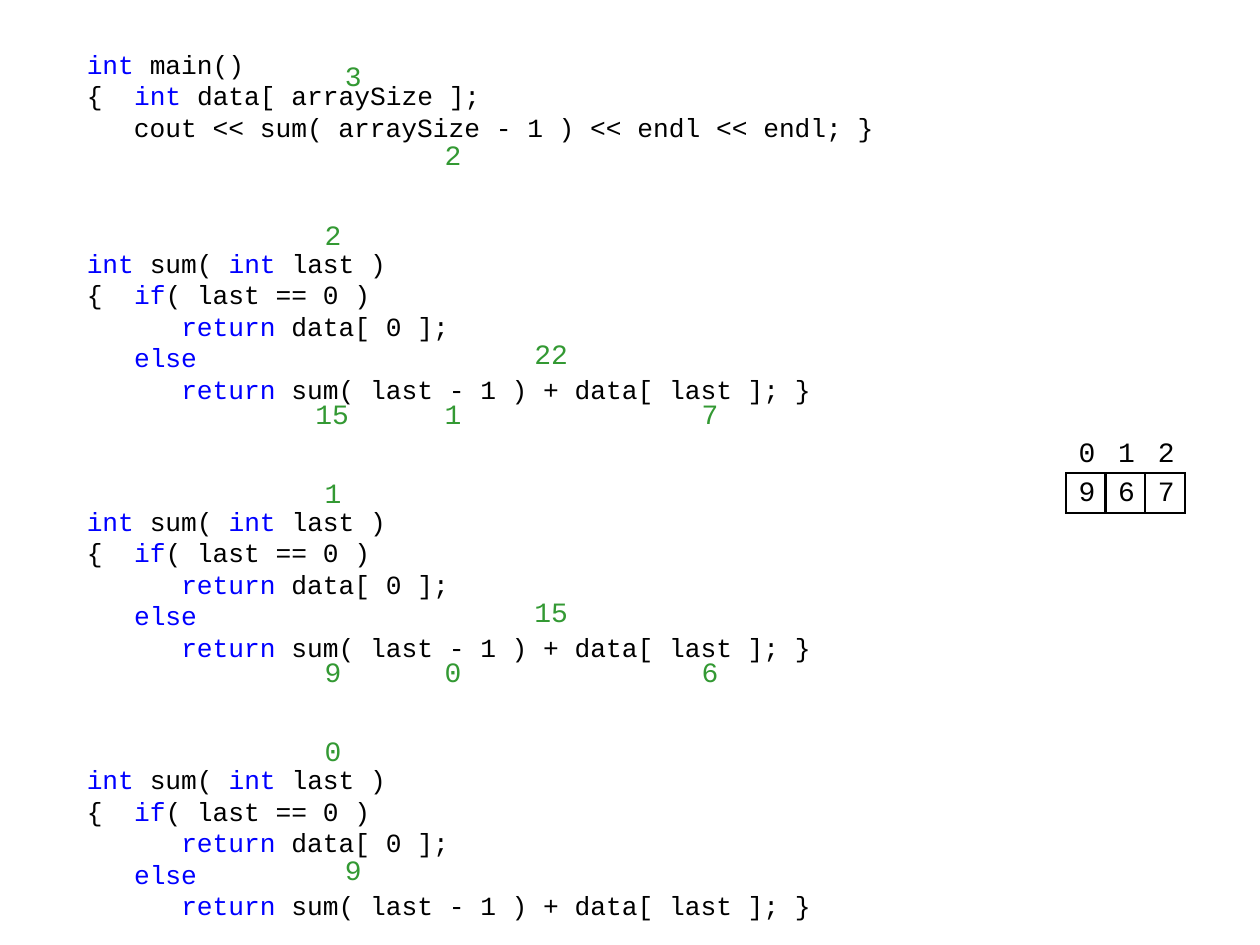
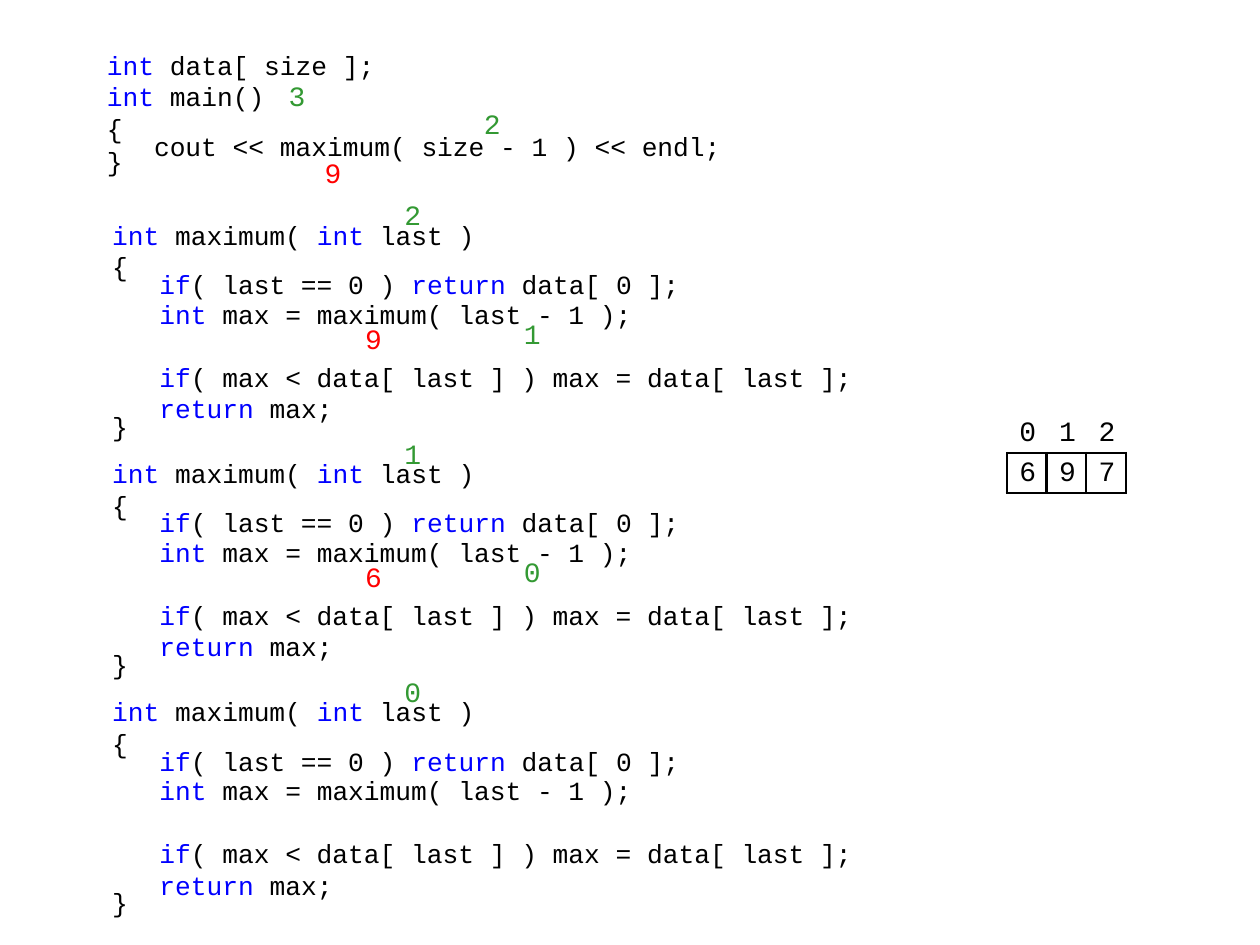
from dataclasses import dataclass
from lxml.etree import SubElement
from pptx import Presentation
from pptx.dml.color import RGBColor as Color
from pptx.enum.text import MSO_ANCHOR as Anchor, PP_ALIGN as Align
from pptx.oxml.ns import qn
from pptx.util import Pt


@dataclass(frozen=True)
class Theme:
    font: str = "Courier New"
    code_size: float = 15
    value_size: float = 16
    border: float = 1.5
    cell: float = 22.68
    text: str = "000000"
    keyword: str = "0000FF"
    value: str = "339933"
    result: str = "FF0000"


THEME = Theme()
HALF = {"line_spacing": 0.5}
AFTER_GAP = {"space_before": Pt(18)}
VALUE_INSETS = (7.2, 0, 7.2, 0)
LOWERED = (7.2, 5.76, 7.2, 0)

SUM_MAIN = [
    "`int` main()",
    "{  `int` data[ arraySize ];",
    "   cout << sum( arraySize - 1 ) << endl << endl; }",
]
SUM_CODE = [
    "`int` sum( `int` last )",
    "{  `if`( last == 0 )",
    "      `return` data[ 0 ];",
    "   `else`",
    "      `return` sum( last - 1 ) + data[ last ]; }",
]
MAXIMUM_MAIN = [
    "`int` data[ size ];",
    "`int` main()",
    "{",
    ("   cout << maximum( size - 1 ) << endl;", HALF),
    ("}", HALF),
]
MAXIMUM_CODE = [
    "`int` maximum( `int` last )",
    "{",
    ("   `if`( last == 0 ) `return` data[ 0 ];", HALF),
    "   `int` max = maximum( last - 1 );",
    ("   `if`( max < data[ last ] ) max = data[ last ];", AFTER_GAP),
    "   `return` max;",
    ("}", HALF),
]

SUM_SPOTS = {
    "last": (189.8, -11.5),
    "argument": (258.3, 90.7),
    "inner_sum": (189.8, 90.7),
    "element": (405.2, 90.7),
    "returned": (315, 56.5),
    "base_case": (201.4, 56.5),
}
MAXIMUM_SPOTS = {
    "last": (235.3, -11),
    "argument": (303.6, 56.8),
    "result": (212.9, 56.8),
}
MAXIMUM_STYLES = {"result": {"color": THEME.result, "insets": LOWERED}}

SLIDES = [
    {
        "main": (SUM_MAIN, (42.5, 20.2, 522, 67.7)),
        "main_values": [("3", 201.4, 31.7, {}), ("2", 258.3, 77, {})],
        "code": SUM_CODE,
        "frame": (42.5, 133.9, 522, 102.2),
        "step": 147.6,
        "insets": (7.2, 7.2, 7.2, 7.2),
        "spots": SUM_SPOTS,
        "styles": {},
        "calls": [
            {"last": "2", "argument": "1", "inner_sum": "15", "element": "7", "returned": "22"},
            {"last": "1", "argument": "0", "inner_sum": "9", "element": "6", "returned": "15"},
            {"last": "0", "base_case": "9"},
        ],
        "array": ["9", "6", "7"],
        "array_at": (609.1, 247.7),
    },
    {
        "main": (MAXIMUM_MAIN, (54, 20.9, 374.4, 79.2)),
        "main_values": [
            ("3", 167.6, 43.2, {"insets": (7.2, 0, 2.88, 0)}),
            ("2", 280.8, 54.7, {"insets": (7.2, 8.64, 7.2, 0)}),
            ("9", 189.8, 88.6, {"insets": (7.2, 0, 7.2, 2.88), "color": THEME.result}),
        ],
        "code": MAXIMUM_CODE,
        "frame": (54, 122.4, 442.1, 124.6),
        "step": 136.1,
        "insets": (10.08, 2.88, 7.2, 2.88),
        "spots": MAXIMUM_SPOTS,
        "styles": MAXIMUM_STYLES,
        "calls": [
            {"last": "2", "argument": "1", "result": "9"},
            {"last": "1", "argument": "0", "result": "6"},
            {"last": "0"},
        ],
        "array": ["6", "9", "7"],
        "array_at": (575.3, 236.2),
    },
]


def write_text(frame, lines, size=THEME.code_size, color=THEME.text, align=Align.LEFT):
    for index, line in enumerate(lines):
        text, spacing = (line, {}) if isinstance(line, str) else line
        paragraph = frame.paragraphs[0] if index == 0 else frame.add_paragraph()
        paragraph.alignment = align
        for name, amount in spacing.items():
            setattr(paragraph, name, amount)
        for part, words in enumerate(text.split("`")):
            if words:
                run = paragraph.add_run()
                run.text = words
                run.font.name = THEME.font
                run.font.size = Pt(size)
                run.font.color.rgb = Color.from_string(THEME.keyword if part % 2 else color)


def set_insets(target, insets):
    for side, inset in zip(("left", "top", "right", "bottom"), insets):
        setattr(target, f"margin_{side}", Pt(inset))


def add_text(slide, lines, box, insets, wrap=True, anchor=Anchor.TOP, **text_format):
    frame = slide.shapes.add_textbox(*map(Pt, box)).text_frame
    frame.word_wrap = wrap
    frame.vertical_anchor = anchor
    set_insets(frame, insets)
    write_text(frame, lines, **text_format)


def add_value(slide, text, center, top, insets=VALUE_INSETS, color=THEME.value):
    width = THEME.cell * len(text)
    add_text(slide, [text], (center - width / 2, top, width, THEME.cell), insets,
             wrap=False, anchor=Anchor.MIDDLE, size=THEME.value_size,
             color=color, align=Align.CENTER)


def add_borders(cell, sides):
    properties = cell._tc.get_or_add_tcPr()
    for side in sides:
        line = SubElement(properties, qn(f"a:ln{side}"), w=str(Pt(THEME.border)))
        fill = SubElement(line, qn("a:solidFill"))
        SubElement(fill, qn("a:srgbClr"), val=THEME.text)


def add_array(slide, values, left, top):
    rows = [[str(index) for index in range(len(values))], values]
    size = (THEME.cell * len(values), THEME.cell * len(rows))
    table = slide.shapes.add_table(len(rows), len(values), *map(Pt, (left, top, *size))).table
    table.first_row = table.horz_banding = False
    for column in table.columns:
        column.width = Pt(THEME.cell)
    for row, texts in enumerate(rows):
        table.rows[row].height = Pt(THEME.cell)
        for column, text in enumerate(texts):
            cell = table.cell(row, column)
            add_borders(cell, "LRTB" if row else "B")
            cell.fill.background()
            cell.vertical_anchor = Anchor.MIDDLE
            set_insets(cell, (7.2, 1.44, 7.2, 0))
            write_text(cell.text_frame, [text], size=THEME.value_size, align=Align.CENTER)


def build_slide(presentation, content):
    slide = presentation.slides.add_slide(presentation.slide_layouts[6])
    lines, box = content["main"]
    add_text(slide, lines, box, (7.2, 7.2, 7.2, 7.2))
    left, first_top, width, height = content["frame"]
    for index, call in enumerate(content["calls"]):
        top = first_top + index * content["step"]
        add_text(slide, content["code"], (left, top, width, height), content["insets"])
        for name, text in call.items():
            center, offset = content["spots"][name]
            add_value(slide, text, center, top + offset, **content["styles"].get(name, {}))
    for text, center, top, style in content["main_values"]:
        add_value(slide, text, center, top, **style)
    add_array(slide, content["array"], *content["array_at"])


def main():
    presentation = Presentation()
    presentation.slide_width, presentation.slide_height = Pt(720), Pt(540)
    for content in SLIDES:
        build_slide(presentation, content)
    presentation.save("out.pptx")


if __name__ == "__main__":
    main()
